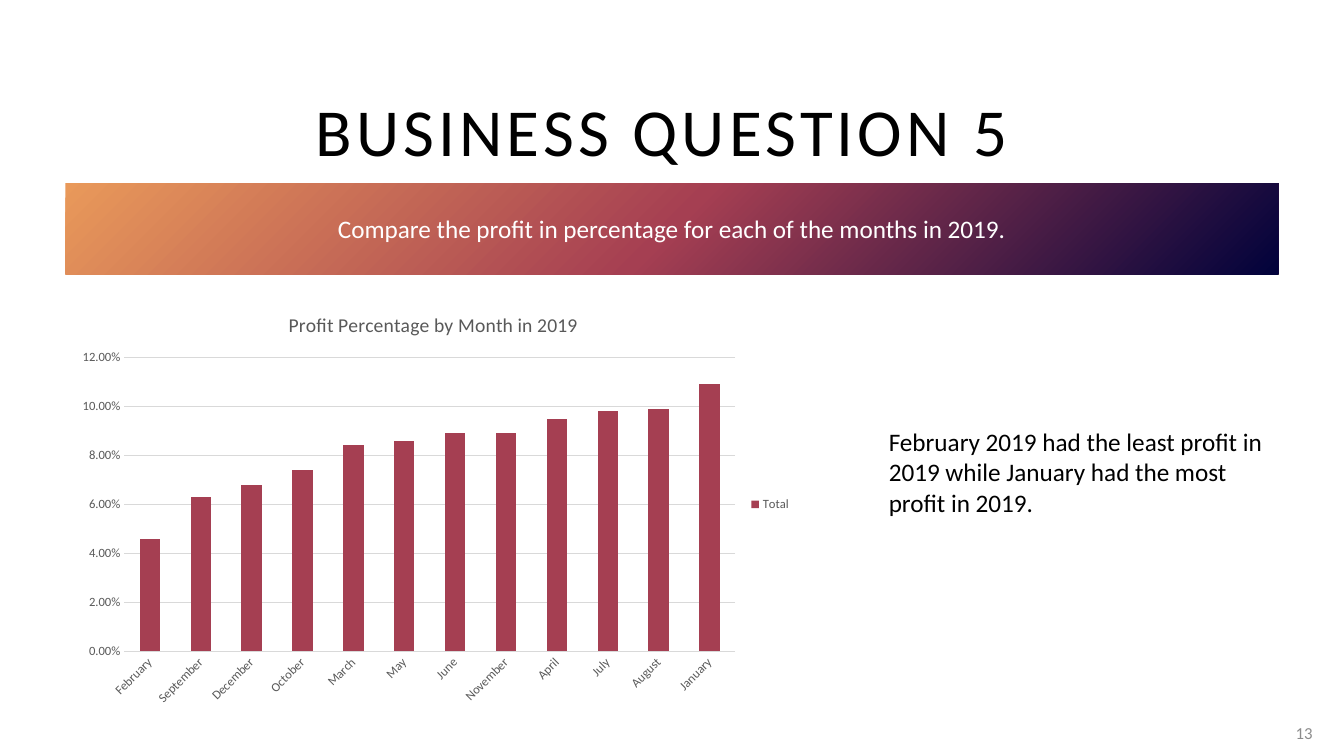
"""Build the profit-by-month slide with its title, gradient band, column chart and remark."""
from pptx import Presentation, oxml
from pptx import util as u
from pptx.chart import data as cd
from pptx.dml import color as dc
from pptx.enum import chart as ce, shapes, text
from pptx.oxml import ns

Pt = u.Pt
GREY = "595959"
WINE = "A53F52"


def tint(code):
    return dc.RGBColor.from_string(code)


def write(shape, words, size, code, align, anchor):
    frame = shape.text_frame
    frame.word_wrap = True
    frame.vertical_anchor = anchor
    frame.text = words
    para = frame.paragraphs[0]
    para.alignment = align
    font = para.runs[0].font
    font.name, font.size, font.color.rgb = "Calibri", Pt(size), tint(code)
    return para.runs[0]


deck = Presentation()
deck.slide_width, deck.slide_height = Pt(960), Pt(540)
slide = deck.slides.add_slide(deck.slide_layouts[6])
left, wide, tall = Pt(46.8), Pt(866.2), Pt(64.8)
mid, top = text.MSO_ANCHOR.MIDDLE, text.MSO_ANCHOR.TOP
side = text.PP_ALIGN

band = slide.shapes.add_shape(shapes.MSO_SHAPE.RECTANGLE, left, Pt(131), wide, tall)
band.shadow.inherit = False
band.line.fill.background()
stops = "".join(
    f'<a:gs pos="{pos * 1000}"><a:srgbClr val="{code}"/></a:gs>'
    for pos, code in [(0, "01023B"), (50, WINE), (100, "E9995A")]
)
fill = oxml.parse_xml(
    f'<a:gradFill {ns.nsdecls("a")} rotWithShape="1"><a:gsLst>{stops}</a:gsLst>'
    '<a:path path="circle"><a:fillToRect l="100000" t="100000"/></a:path></a:gradFill>'
)
band._element.spPr.find(ns.qn("a:prstGeom")).addnext(fill)
write(band, "Compare the profit in percentage for each of the months in 2019.",
      18, "FFFFFF", side.CENTER, mid)

title = slide.shapes.add_textbox(left, Pt(60.5), wide, tall)
run = write(title, "BUSINESS QUESTION 5 ", 48, "000000", side.CENTER, mid)
run.font._element.set("spc", "300")

page = slide.shapes.add_textbox(Pt(909.4), Pt(509), Pt(35.3), Pt(28.8))
write(page, "13", 12, "8C8C8C", side.RIGHT, mid)

note = slide.shapes.add_textbox(Pt(627.8), Pt(301), Pt(285.8), Pt(72.7))
write(note, "February 2019 had the least profit in 2019 while January had the most profit in 2019.",
      18, "000000", side.LEFT, top)

months = {
    "February": 0.046, "September": 0.063, "December": 0.068, "October": 0.074,
    "March": 0.084, "May": 0.086, "June": 0.089, "November": 0.089,
    "April": 0.095, "July": 0.098, "August": 0.099, "January": 0.109,
}
data = cd.CategoryChartData(number_format="0.00%")
data.categories = list(months)
data.add_series("Total", list(months.values()))
chart = slide.shapes.add_chart(
    ce.XL_CHART_TYPE.COLUMN_CLUSTERED, left, Pt(210.2), Pt(525.6), Pt(300.2), data
).chart
chart.font.name, chart.font.size = "Calibri", Pt(10)

chart.has_title = True
head = chart.chart_title.text_frame
head.text = "Profit Percentage by Month in 2019"
font = head.paragraphs[0].runs[0].font
font.name, font.size, font.bold = "Calibri", Pt(14), False
font.color.rgb = tint(GREY)

chart.has_legend = True
key = chart.legend
key.position = ce.XL_LEGEND_POSITION.RIGHT
key.include_in_layout = False

plot = chart.plots[0]
plot.gap_width = 150
plot.vary_by_categories = False
bars = plot.series[0].format.fill
bars.solid()
bars.fore_color.rgb = tint(WINE)

cats, vals = chart.category_axis, chart.value_axis
for axis in (cats, vals):
    axis.major_tick_mark = axis.minor_tick_mark = ce.XL_TICK_MARK.NONE
    axis.format.line.fill.background()
for font in (cats.tick_labels.font, vals.tick_labels.font, key.font):
    font.name, font.size, font.color.rgb = "Calibri", Pt(9), tint(GREY)
cats._element.txPr.find(ns.qn("a:bodyPr")).set("rot", "-2700000")
vals.minimum_scale, vals.maximum_scale, vals.major_unit = 0, 0.12, 0.02
vals.tick_labels.number_format = "0.00%"
vals.tick_labels.number_format_is_linked = False
vals.has_major_gridlines = True
grid = vals.major_gridlines.format.line
grid.width, grid.color.rgb = Pt(0.75), tint("D9D9D9")

area = chart._chartSpace.chart.plotArea
for old in area.findall(ns.qn("c:layout")):
    area.remove(old)
sizes = "".join(
    f'<c:{name} val="{val}"/>'
    for name, val in [("x", 0.08), ("y", 0.15), ("w", 0.83), ("h", 0.7)]
)
area.insert(0, oxml.parse_xml(
    f'<c:layout {ns.nsdecls("c")}><c:manualLayout><c:layoutTarget val="inner"/>'
    f'<c:xMode val="edge"/><c:yMode val="edge"/>{sizes}</c:manualLayout></c:layout>'
))

deck.save("out.pptx")
